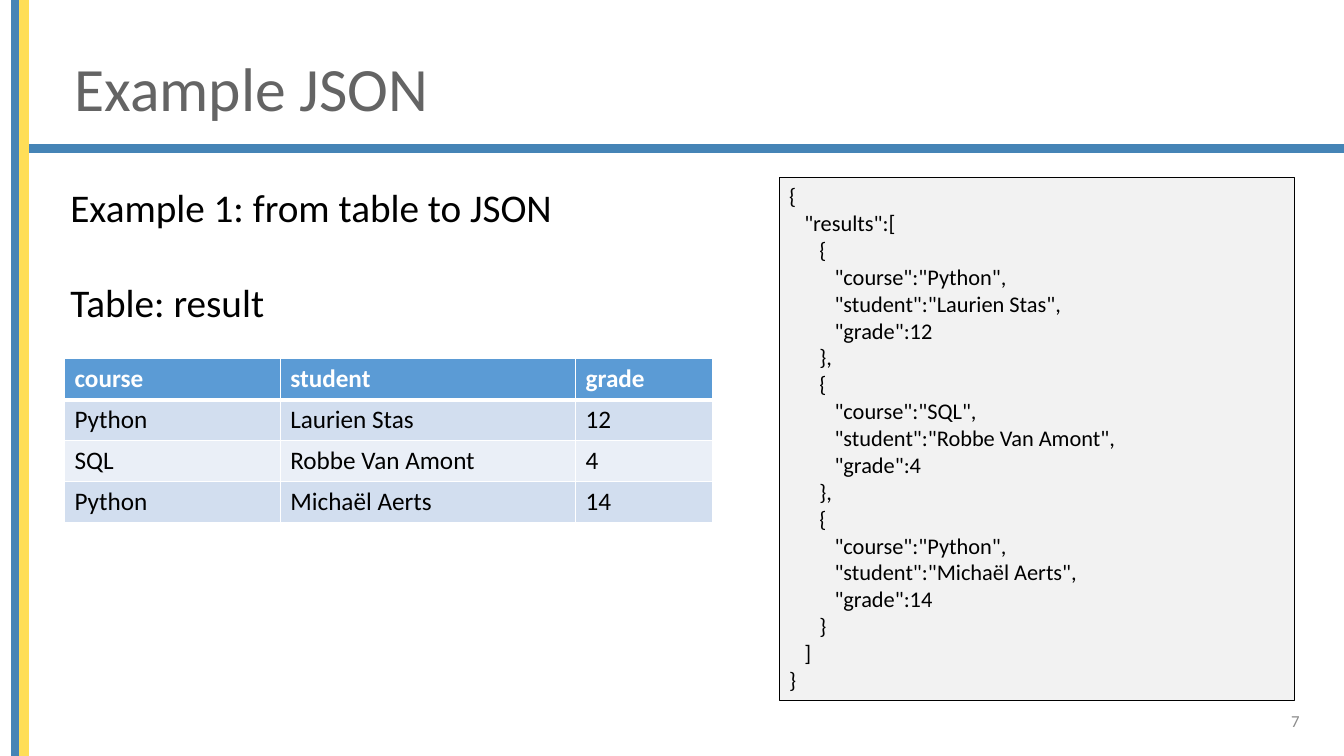
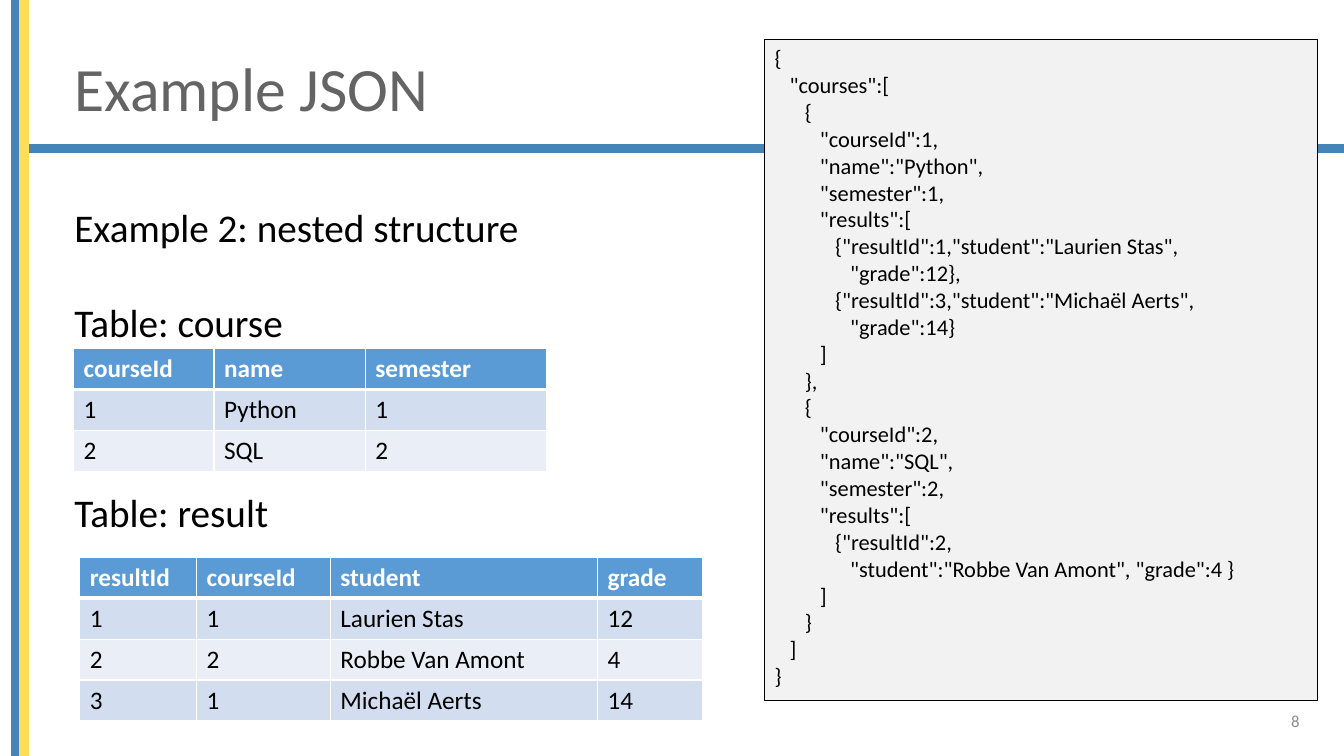
from dataclasses import dataclass

from lxml import etree
from pptx import Presentation
from pptx.dml.color import RGBColor
from pptx.enum.shapes import MSO_SHAPE
from pptx.enum.text import MSO_ANCHOR, PP_ALIGN
from pptx.oxml.ns import qn
from pptx.util import Inches, Pt

RECTANGLE = MSO_SHAPE.RECTANGLE
TOP, MIDDLE = MSO_ANCHOR.TOP, MSO_ANCHOR.MIDDLE
LEFT, RIGHT = PP_ALIGN.LEFT, PP_ALIGN.RIGHT


@dataclass(frozen=True)
class Theme:
    font: str = "Calibri"
    blue: str = "4584B6"
    yellow: str = "FFDE57"
    white: str = "FFFFFF"
    black: str = "000000"
    title: str = "646464"
    number: str = "8C8C8C"
    code_fill: str = "F2F2F2"
    header_fill: str = "5B9BD5"
    row_fills: tuple = ("D2DEEF", "EAEFF7")
    title_size: int = 44
    body_size: int = 28
    table_size: int = 18
    code_size: int = 16
    number_size: int = 12
    body_line: float = 34.2  # height of one body line, points
    code_indent: float = 0.15  # one nesting level, inches
    table_row: float = 5.41  # percent of slide height
    code_bottom: float = 92.67  # percent; the page number starts here


class Slides:
    """Draws on the current page; lengths are percent of the slide's size."""

    def __init__(self, theme):
        self.theme = theme
        self.deck = Presentation()
        self.deck.slide_width = Inches(13.33)
        self.deck.slide_height = Inches(7.5)
        self.page = None

    def across(self, share):
        return round(self.deck.slide_width * share / 100)

    def down(self, share):
        return round(self.deck.slide_height * share / 100)

    def area(self, left, top, width, height):
        return self.across(left), self.down(top), self.across(width), self.down(height)

    def style(self, para, size, color, bold=False):
        font = para.font
        font.name, font.size, font.bold = self.theme.font, Pt(size), bold
        font.color.rgb = RGBColor.from_string(color)

    def new_page(self, title, number):
        theme = self.theme
        self.page = self.deck.slides.add_slide(self.deck.slide_layouts[6])
        # Bands
        self.panel((2.1, 19.13, 97.9, 1.07), theme.blue, theme.blue, 1)
        for left, color in ((0.9, theme.blue), (1.5, theme.yellow)):
            self.panel((left, 0, 0.6, 100), color, color, 1)
        # Page number and title
        self.label((74.93, theme.code_bottom, 22.5, 5.33), str(number),
                   theme.number_size, theme.number, RIGHT)
        para = self.label((4.8, 5.33, 88.35, 13.47), title,
                          theme.title_size, theme.title)
        para.line_spacing = 0.9

    def panel(self, place, fill, line=None, weight=0.75):
        box = self.page.shapes.add_shape(RECTANGLE, *self.area(*place))
        box.shadow.inherit = False
        box.fill.solid()
        box.fill.fore_color.rgb = RGBColor.from_string(fill)
        if line:
            box.line.color.rgb = RGBColor.from_string(line)
            box.line.width = Pt(weight)
        else:
            box.line.fill.background()
        return box

    def label(self, place, text, size, color, align=LEFT):
        frame = self.page.shapes.add_textbox(*self.area(*place)).text_frame
        frame.word_wrap = True
        frame.vertical_anchor = MIDDLE
        para = frame.paragraphs[0]
        para.text, para.alignment = text, align
        self.style(para, size, color)
        return para

    def lines(self, box, texts, size):
        frame = box.text_frame
        frame.word_wrap = True
        frame.vertical_anchor = TOP
        frame.text = "\n".join(texts)
        for para in frame.paragraphs:
            para.alignment = LEFT
            self.style(para, size, self.theme.black)
        return frame.paragraphs

    def headings(self, place, entries):
        """Each entry is a text and the number of lines left free above it."""
        box = self.panel(place, self.theme.white)
        paras = self.lines(box, [text for text, _ in entries], self.theme.body_size)
        for para, (_, gap) in zip(paras, entries):
            para.space_before = Pt(gap * self.theme.body_line)

    def code(self, left, top, width, source):
        """Indents every line by the brackets open at its start."""
        place = (left, top, width, self.theme.code_bottom - top)
        box = self.panel(place, self.theme.code_fill, self.theme.black)
        depth = 0
        for para in self.lines(box, source.strip().split("\n"), self.theme.code_size):
            text = para.text
            level = depth - (text[0] in "}]")
            props = para._p.get_or_add_pPr()
            props.set("marL", str(Inches(level * self.theme.code_indent)))
            props.set("indent", "0")
            depth += sum((mark in "{[") - (mark in "}]") for mark in text)

    def border(self, cell, weights):
        props = cell._tc.get_or_add_tcPr()
        for index, (side, weight) in enumerate(zip("LRTB", weights)):
            line = etree.Element(qn(f"a:ln{side}"), w=str(Pt(weight)))
            fill = etree.SubElement(line, qn("a:solidFill"))
            etree.SubElement(fill, qn("a:srgbClr"), val=self.theme.white)
            props.insert(index, line)

    def table(self, left, top, widths, rows):
        theme = self.theme
        place = self.area(left, top, sum(widths), theme.table_row * len(rows))
        table = self.page.shapes.add_table(len(rows), len(widths), *place).table
        for column, width in zip(table.columns, widths):
            column.width = self.across(width)
        for r, row in enumerate(rows):
            header = r == 0
            table.rows[r].height = self.down(theme.table_row)
            fill = theme.header_fill if header else theme.row_fills[(r - 1) % 2]
            for c, text in enumerate(row):
                cell = table.cell(r, c)
                cell.fill.solid()
                cell.fill.fore_color.rgb = RGBColor.from_string(fill)
                self.border(cell, (1, 1, 3 if r == 1 else 1, 3 if header else 1))
                cell.text = text
                self.style(cell.text_frame.paragraphs[0], theme.table_size,
                           theme.white if header else theme.black, header)


FLAT_JSON = """
{
"results":[
{
"course":"Python",
"student":"Laurien Stas",
"grade":12
},
{
"course":"SQL",
"student":"Robbe Van Amont",
"grade":4
},
{
"course":"Python",
"student":"Michaël Aerts",
"grade":14
}
]
}
"""

NESTED_JSON = """
{
"courses":[
{
"courseId":1,
"name":"Python",
"semester":1,
"results":[
{"resultId":1,"student":"Laurien Stas",
"grade":12},
{"resultId":3,"student":"Michaël Aerts",
"grade":14}
]
},
{
"courseId":2,
"name":"SQL",
"semester":2,
"results":[
{"resultId":2,
"student":"Robbe Van Amont", "grade":4 }
]
}
]
}
"""

slides = Slides(Theme())

# One flat table
slides.new_page("Example JSON", 7)
slides.headings((4.5, 23.6, 42.98, 23.6),
                [("Example 1: from table to JSON", 0), ("Table: result", 1)])
slides.table(4.8, 47.47, (16.05, 21.98, 10.2), [
    ("course", "student", "grade"),
    ("Python", "Laurien Stas", "12"),
    ("SQL", "Robbe Van Amont", "4"),
    ("Python", "Michaël Aerts", "14"),
])
slides.code(57.98, 23.47, 38.33, FLAT_JSON)

# Two related tables
slides.new_page("Example JSON", 8)
slides.headings((4.8, 26.2, 42.98, 70.4),
                [("Example 2: nested structure", 0), ("Table: course", 1),
                 ("Table: result", 3)])
slides.table(5.48, 46.1, (10.45, 11.25, 13.5), [
    ("courseId", "name", "semester"),
    ("1", "Python", "1"),
    ("2", "SQL", "2"),
])
slides.code(56.9, 5.2, 41.1, NESTED_JSON)
slides.table(5.93, 73.73, (8.7, 9.95, 19.88, 7.8), [
    ("resultId", "courseId", "student", "grade"),
    ("1", "1", "Laurien Stas", "12"),
    ("2", "2", "Robbe Van Amont", "4"),
    ("3", "1", "Michaël Aerts", "14"),
])

slides.deck.save("out.pptx")
